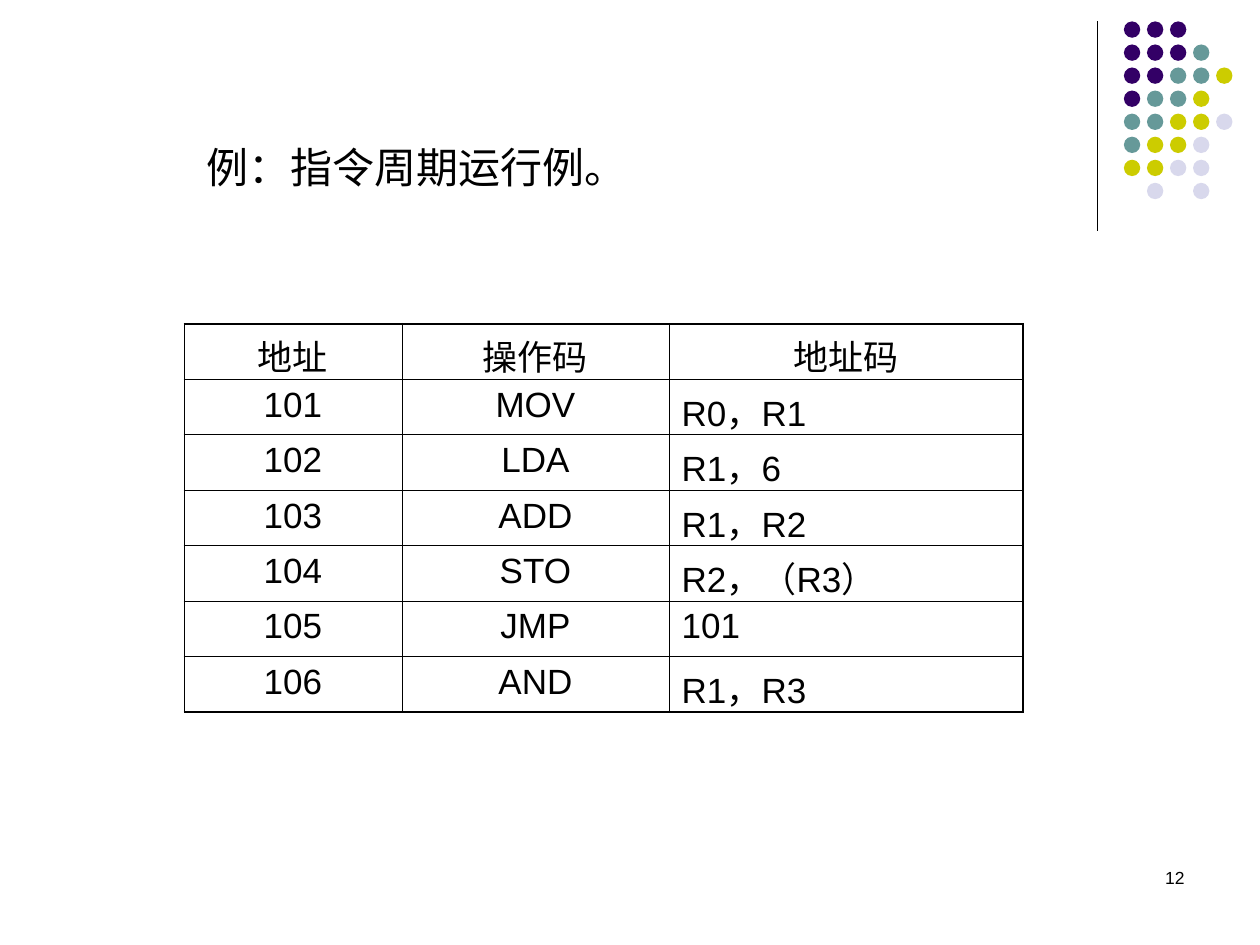
"""Build the instruction cycle example slide with its table of instructions."""
from pptx import Presentation
from pptx.dml.color import RGBColor as RGB
from pptx.enum.shapes import MSO_CONNECTOR as CONN, MSO_SHAPE as SHAPE
from pptx.enum.text import MSO_ANCHOR as ANCHOR, MSO_AUTO_SIZE as FIT, PP_ALIGN as AL
from pptx.oxml import parse_xml
from pptx.oxml.ns import nsdecls
from pptx.util import Inches, Pt

TITLE = "例：指令周期运行例。"
PAGE = "12"
ROWS = [
    ("地址", "操作码", "地址码"),
    ("101", "MOV", "R0，R1"),
    ("102", "LDA", "R1，6"),
    ("103", "ADD", "R1，R2"),
    ("104", "STO", "R2，（R3）"),
    ("105", "JMP", "101"),
    ("106", "AND", "R1，R3"),
]
DOTS = ["PPP", "PPPT", "PPTTY", "PTTY", "TTYYL", "TYYL", "YYLL", " L L"]
THEME = {
    "font": "Arial", "ink": "000000", "title": 24, "cell": 20, "page": 10,
    "thin": 0.45, "thick": 1.08, "rule": 0.75,
    "P": "330066", "T": "669999", "Y": "CCCC00", "L": "D8D8EC",
}
WIDTH, HEIGHT = 10, 7.5
COLS = (1.73, 2.12, 2.81)
ROW_H = 0.44
DOT, PITCH = 0.13, 0.183


def box(x, y, w, h):
    return [Inches(v) for v in (x, y, w, h)]


def write(tf, text, size, align=AL.LEFT, **frame):
    for name, value in frame.items():
        setattr(tf, name, value)
    p = tf.paragraphs[0]
    p.alignment = align
    r = p.add_run()
    r.text = text
    font = {"name": THEME["font"], "size": Pt(THEME[size]), "bold": False}
    for name, value in font.items():
        setattr(r.font, name, value)
    r.font.color.rgb = RGB.from_string(THEME["ink"])


def add_border(cell, side, weight):
    cell._tc.get_or_add_tcPr().append(parse_xml(
        f'<a:{side} {nsdecls("a")} w="{Pt(THEME[weight])}"><a:solidFill>'
        f'<a:srgbClr val="{THEME["ink"]}"/></a:solidFill></a:{side}>'))


def add_dots(slide):
    line = slide.shapes.add_connector(
        CONN.STRAIGHT, *box(8.71, 0.17, 8.71, 1.83))
    line.line.width = Pt(THEME["rule"])
    line.line.color.rgb = RGB.from_string(THEME["ink"])
    line._element.spPr.append(parse_xml(f'<a:effectLst {nsdecls("a")}/>'))
    group = slide.shapes.add_group_shape()
    for i, row in enumerate(DOTS):
        for j, key in enumerate(row):
            if key == " ":
                continue
            at = box(8.92 + j * PITCH, 0.17 + i * PITCH, DOT, DOT)
            sp = group.shapes.add_shape(SHAPE.OVAL, *at)
            sp.shadow.inherit = False
            sp.fill.solid()
            sp.fill.fore_color.rgb = RGB.from_string(THEME[key])
            sp.line.fill.background()


def add_instructions(slide):
    frame = slide.shapes.add_table(
        len(ROWS), len(COLS), *box(1.46, 2.57, sum(COLS), ROW_H * len(ROWS)))
    table = frame.table
    table.first_row = table.horz_banding = False
    for col, w in zip(table.columns, COLS):
        col.width = Inches(w)
    last_row, last_col = len(ROWS) - 1, len(COLS) - 1
    for i, row in enumerate(ROWS):
        for j, text in enumerate(row):
            cell = table.cell(i, j)
            left = i > 0 and j == last_col
            write(cell.text_frame, text, "cell", AL.LEFT if left else AL.CENTER)
            outer = {"lnL": False, "lnR": j == last_col,
                     "lnT": i == 0, "lnB": i == last_row}
            for side, thick in outer.items():
                add_border(cell, side, "thick" if thick else "thin")
            cell.fill.background()


def main():
    prs = Presentation()
    prs.slide_width, prs.slide_height = Inches(WIDTH), Inches(HEIGHT)
    slide = prs.slides.add_slide(prs.slide_layouts[5])
    add_dots(slide)
    title = slide.shapes.title
    title.left, title.top, title.width, title.height = box(1.54, 1.07, 3.53, 0.5)
    write(title.text_frame, TITLE, "title", word_wrap=False,
          auto_size=FIT.SHAPE_TO_FIT_TEXT, vertical_anchor=ANCHOR.TOP)
    add_instructions(slide)
    page = slide.shapes.add_textbox(*box(7.17, 6.83, 2.33, 0.5))
    write(page.text_frame, PAGE, "page", AL.RIGHT, word_wrap=True)
    prs.save("out.pptx")


if __name__ == "__main__":
    main()
